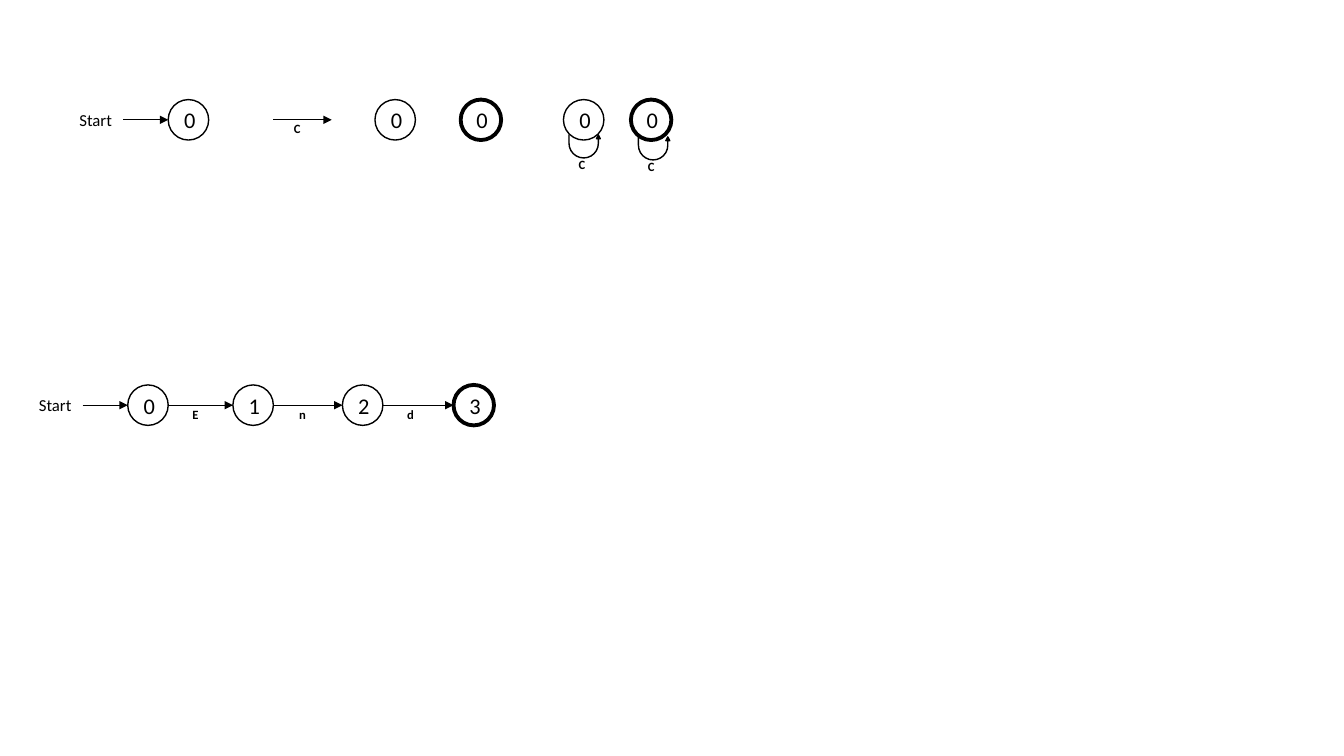
from dataclasses import dataclass

from lxml import etree
from pptx import Presentation
from pptx.dml.color import RGBColor
from pptx.enum.shapes import MSO_CONNECTOR, MSO_SHAPE
from pptx.enum.text import MSO_ANCHOR, PP_ALIGN
from pptx.oxml.ns import qn
from pptx.shapes.autoshape import Shape
from pptx.slide import Slide
from pptx.text.text import TextFrame
from pptx.util import Cm, Pt

BLACK = RGBColor(0, 0, 0)
FONT = "Calibri"
OVAL, UTURN = MSO_SHAPE.OVAL, MSO_SHAPE.U_TURN_ARROW
STRAIGHT = MSO_CONNECTOR.STRAIGHT
MIDDLE, CENTER = MSO_ANCHOR.MIDDLE, PP_ALIGN.CENTER

# Lengths in centimetres
RADIUS = 0.51
LEGEND_Y, WORD_Y = 3.02, 10.21
BEND = (0, 0.085, 0.164, 0.717, 1)


@dataclass
class State:
    name: str
    x: float
    y: float
    first: bool = False
    final: bool = False
    loop: str = ""


@dataclass
class Edge:
    label: str
    start: float
    end: float
    y: float
    text_x: float


STATES = [
    State("0", 4.75, LEGEND_Y, first=True),
    State("0", 9.96, LEGEND_Y),
    State("0", 12.12, LEGEND_Y, final=True),
    State("0", 14.71, LEGEND_Y, loop="C"),
    State("0", 16.41, LEGEND_Y, final=True, loop="C"),
    State("0", 3.73, WORD_Y, first=True),
    State("1", 6.38, WORD_Y),
    State("2", 9.14, WORD_Y),
    State("3", 11.94, WORD_Y, final=True),
]
WORD = [state for state in STATES if state.y == WORD_Y]
EDGES = [Edge("C", 6.88, 8.36, LEGEND_Y, 7.26)] + [
    Edge(label, a.x + RADIUS, b.x - RADIUS, WORD_Y, text_x)
    for label, a, b, text_x in zip("End", WORD, WORD[1:], (4.7, 7.39, 10.11))
]


def write(frame: TextFrame, text: str, size: int, bold: bool = False) -> None:
    para = frame.paragraphs[0]
    para.text = text
    font = para.font
    font.name, font.size, font.bold = FONT, Pt(size), bold
    font.color.rgb = BLACK


def add_label(slide: Slide, text: str, x: float, y: float) -> None:
    box = slide.shapes.add_textbox(Cm(x), Cm(y), Cm(0.41), Cm(0.64))
    frame = box.text_frame
    frame.word_wrap = True
    frame.margin_left, frame.margin_right = Cm(0.15), 0
    write(frame, text, 9, bold=True)


def add_arrow(slide: Slide, start: float, end: float, y: float) -> None:
    arrow = slide.shapes.add_connector(STRAIGHT, Cm(start), Cm(y), Cm(end), Cm(y))
    arrow.line.color.rgb = BLACK
    arrow.line.width = Pt(0.75)
    etree.SubElement(arrow.line._get_or_add_ln(), qn("a:tailEnd"), type="triangle")
    etree.SubElement(arrow._element.spPr, qn("a:effectLst"))


def outline(shape: Shape, width: float) -> None:
    shape.shadow.inherit = False
    shape.line.color.rgb = BLACK
    shape.line.width = Pt(width)


def add_start(slide: Slide, state: State) -> None:
    box = slide.shapes.add_textbox(
        Cm(state.x - 3), Cm(state.y - 0.38), Cm(1.35), Cm(0.76))
    box.text_frame.word_wrap = True
    box.text_frame.margin_right = 0
    write(box.text_frame, "Start", 12)
    add_arrow(slide, state.x - 1.65, state.x - RADIUS, state.y)


def add_loop(slide: Slide, state: State) -> None:
    shift = 0.05 if state.final else 0
    loop = slide.shapes.add_shape(
        UTURN, Cm(state.x - 0.37 + shift), Cm(state.y + 0.38 + shift),
        Cm(0.79), Cm(0.58))
    for i, value in enumerate(BEND):
        loop.adjustments[i] = value
    loop.rotation = 180
    loop._element.spPr.xfrm.set("flipH", "1")
    loop.fill.solid()
    loop.fill.fore_color.rgb = BLACK
    outline(loop, 1)
    add_label(slide, state.loop, state.x - 0.28 + shift, state.y + 0.82 + shift)


def add_state(slide: Slide, state: State) -> None:
    if state.first:
        add_start(slide, state)
    ring = slide.shapes.add_shape(
        OVAL, Cm(state.x - RADIUS), Cm(state.y - RADIUS),
        Cm(2 * RADIUS), Cm(2 * RADIUS))
    ring.fill.background()
    outline(ring, 2.75 if state.final else 1)
    ring.text_frame.vertical_anchor = MIDDLE
    write(ring.text_frame, state.name, 16)
    ring.text_frame.paragraphs[0].alignment = CENTER
    if state.loop:
        add_loop(slide, state)


def main() -> None:
    deck = Presentation()
    deck.slide_width, deck.slide_height = Cm(33.87), Cm(19.05)
    slide = deck.slides.add_slide(deck.slide_layouts[6])
    for state in STATES:
        add_state(slide, state)
    for edge in EDGES:
        add_arrow(slide, edge.start, edge.end, edge.y)
        add_label(slide, edge.label, edge.text_x, edge.y - 0.09)
    deck.save("out.pptx")


if __name__ == "__main__":
    main()
